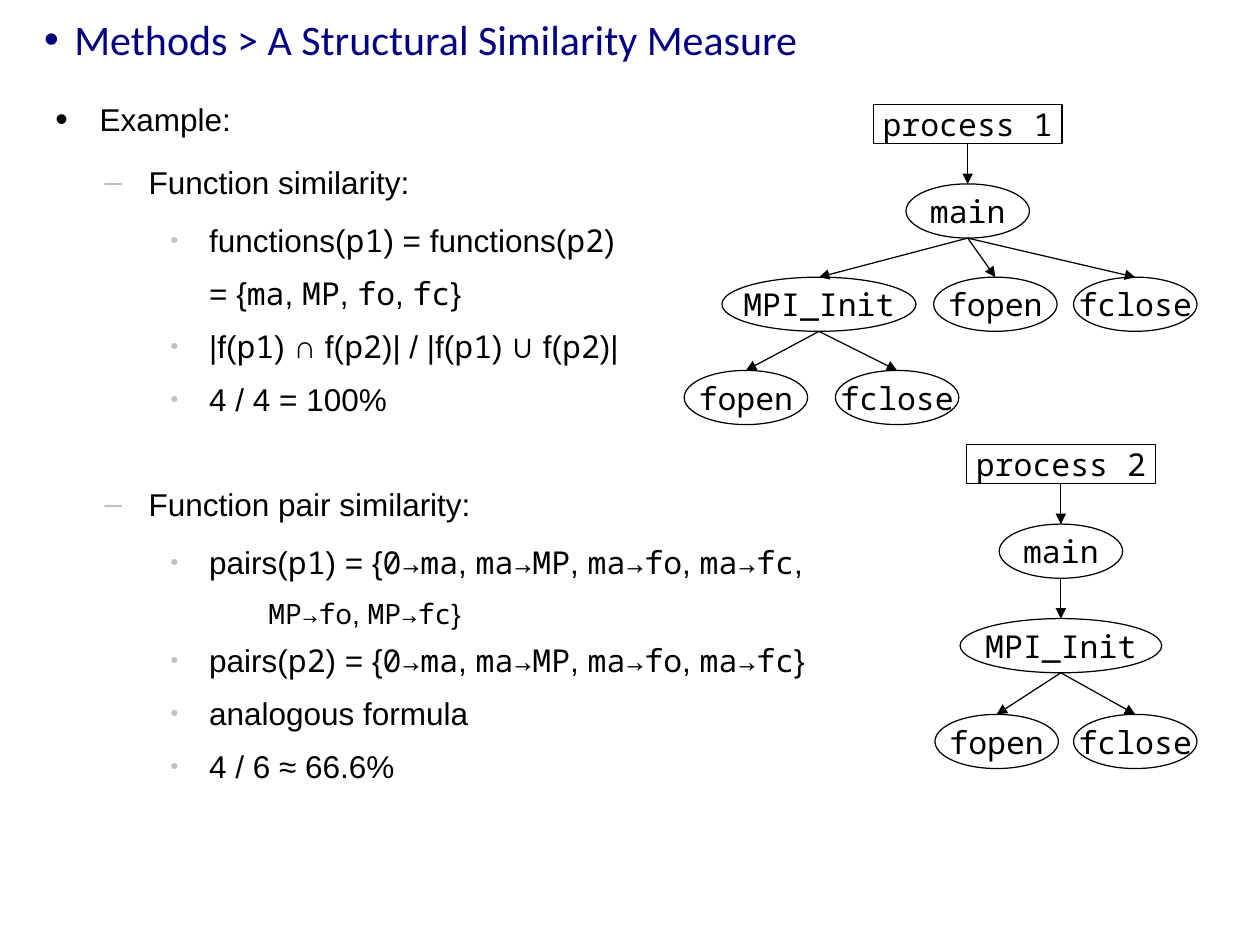
from pptx import Presentation
from pptx.dml.color import RGBColor
from pptx.enum.shapes import MSO_CONNECTOR, MSO_SHAPE
from pptx.enum.text import MSO_ANCHOR, PP_ALIGN
from pptx.oxml.ns import qn
from pptx.util import Inches, Pt
from lxml import etree

RECTANGLE, ELLIPSE = MSO_SHAPE.RECTANGLE, MSO_SHAPE.OVAL
STRAIGHT = MSO_CONNECTOR.STRAIGHT
MIDDLE, TOP = MSO_ANCHOR.MIDDLE, MSO_ANCHOR.TOP
LEFT, CENTER = PP_ALIGN.LEFT, PP_ALIGN.CENTER

COLORS = {"title": "000080", "ink": "000000", "pale": "C0C0C0"}
SANS, MONO = "Arial", "Noto Sans Mono"


def set_bullet(para, margin, indent, char=None, color=None, size=None):
    """Set the hanging indent and the bullet of a paragraph."""
    props = para._p.get_or_add_pPr()
    props.set("marL", str(Inches(margin)))
    props.set("indent", str(Inches(indent)))
    if char is None:
        etree.SubElement(props, qn("a:buNone"))
        return
    if color:
        holder = etree.SubElement(props, qn("a:buClr"))
        etree.SubElement(holder, qn("a:srgbClr"), val=color)
    if size:
        etree.SubElement(props, qn("a:buSzPct"), val=str(size * 1000))
    etree.SubElement(props, qn("a:buFont"), typeface=SANS)
    etree.SubElement(props, qn("a:buChar"), char=char)


def style_font(font, name, size, color):
    font.name, font.size = name, Pt(size)
    font.color.rgb = RGBColor.from_string(color)


deck = Presentation()
deck.slide_width, deck.slide_height = Inches(10), Inches(7.5)
page = deck.slides.add_slide(deck.slide_layouts[5])

# Title
title = page.shapes.title
title.left, title.top = Inches(0.35), Inches(0.08)
title.width, title.height = Inches(9.33), Inches(0.46)
frame = title.text_frame
frame.text = "Methods > A Structural Similarity Measure"
frame.margin_left = frame.margin_right = frame.margin_top = frame.margin_bottom = 0
frame.vertical_anchor = MIDDLE
para = frame.paragraphs[0]
para.alignment = LEFT
set_bullet(para, 0.24, -0.24, "•")
style_font(para.runs[0].font, "Calibri", 24, COLORS["title"])

# Outline: backticks enclose code
STYLES = {  # margin, indent, bullet, bullet colour, bullet %, level, space after, size, line height
    "top": (0.59, -0.35, "•", None, 114, 0, 14.2, 18, 21.8),
    "dash": (0.98, -0.35, "–", COLORS["pale"], None, 1, 11.3, 18, 21.8),
    "dot": (1.46, -0.31, "●", COLORS["pale"], 45, 2, 8.5, 18, 21.8),
    "more": (1.46, 0, None, None, None, 2, 8.5, 18, 21.8),
    "deep": (1.93, 0, None, None, None, 3, 5.7, 16, 20),
}
SECTION_GAP = 38
outline = [
    ("top", "Example:"),
    ("dash", "Function similarity:"),
    ("dot", "functions(`p1`) = functions(`p2`)"),
    ("more", "= {`ma`, `MP`, `fo`, `fc`}"),
    ("dot", "|f(`p1`) ∩ f(`p2`)| / |f(`p1`) ∪ f(`p2`)|"),
    ("dot", "4 / 4 = 100%"),
    ("dash", "Function pair similarity:"),
    ("dot", "pairs(`p1`) = {`0→ma`, `ma→MP`, `ma→fo`, `ma→fc`,"),
    ("deep", "`MP→fo`, `MP→fc`}"),
    ("dot", "pairs(`p2`) = {`0→ma`, `ma→MP`, `ma→fo`, `ma→fc`}"),
    ("dot", "analogous formula"),
    ("dot", "4 / 6 ≈ 66.6%"),
]
body = page.shapes.add_textbox(Inches(0.2), Inches(0.79), Inches(9.25), Inches(5.92))
frame = body.text_frame
frame.word_wrap = True
frame.vertical_anchor = TOP
frame.margin_left = frame.margin_right = frame.margin_top = frame.margin_bottom = 0
for index, (style, text) in enumerate(outline):
    para = frame.add_paragraph() if index else frame.paragraphs[0]
    *bullet, level, after, size, line_height = STYLES[style]
    margin, indent, char, color, percent = bullet
    closes_section = index + 1 < len(outline) and style == "dot" and outline[index + 1][0] == "dash"
    para.level = level
    para.line_spacing = Pt(line_height)
    para.space_before = Pt(0)
    para.space_after = Pt(SECTION_GAP if closes_section else after)
    set_bullet(para, margin, indent, char, color, percent)
    for part, words in enumerate(text.split("`")):
        if words:
            span = para.add_run()
            span.text = words
            style_font(span.font, MONO if part % 2 else SANS, size, COLORS["ink"])

# Call trees: label, centre x, top, width, index of the caller
NODE_HEIGHT, ROOT_HEIGHT = 0.43, 0.31
trees = [
    [
        ("process 2", 8.42, 3.53, 1.5, None),
        ("main", 8.42, 4.16, 0.98, 0),
        ("MPI_Init", 8.42, 4.91, 1.6, 1),
        ("fopen", 7.91, 5.67, 0.98, 2),
        ("fclose", 9.01, 5.67, 0.98, 2),
    ],
    [
        ("process 1", 7.68, 0.83, 1.5, None),
        ("main", 7.68, 1.46, 0.98, 0),
        ("MPI_Init", 6.5, 2.2, 1.54, 1),
        ("fopen", 7.9, 2.2, 0.98, 1),
        ("fclose", 9.01, 2.2, 0.98, 1),
        ("fopen", 5.92, 2.94, 0.98, 2),
        ("fclose", 7.12, 2.94, 0.98, 2),
    ],
]
for tree in trees:
    group = page.shapes.add_group_shape()
    nodes = []
    for label, center, top, width, caller in tree:
        is_root = caller is None
        node = group.shapes.add_shape(
            RECTANGLE if is_root else ELLIPSE,
            Inches(center - width / 2), Inches(top),
            Inches(width), Inches(ROOT_HEIGHT if is_root else NODE_HEIGHT))
        node.shadow.inherit = False
        node.fill.background()
        node.line.color.rgb = RGBColor.from_string(COLORS["ink"])
        node.line.width = Pt(0.71)
        frame = node.text_frame
        frame.text = label
        frame.word_wrap = False
        frame.vertical_anchor = MIDDLE
        para = frame.paragraphs[0]
        para.alignment = CENTER
        style_font(para.runs[0].font, MONO, 18, COLORS["ink"])
        nodes.append(node)

        # Arrow from the caller's bottom to this node's top
        if not is_root:
            source = nodes[caller]
            arrow = group.shapes.add_connector(
                STRAIGHT, source.left + source.width // 2, source.top + source.height,
                Inches(center), Inches(top))
            if caller == 0:
                arrow.begin_connect(source, 2)
            arrow.end_connect(node, 0)
            arrow.line.color.rgb = RGBColor.from_string(COLORS["ink"])
            arrow.line.width = Pt(0.71)
            etree.SubElement(arrow.line._get_or_add_ln(), qn("a:tailEnd"), type="triangle")
            etree.SubElement(arrow._element.spPr, qn("a:effectLst"))

deck.save("out.pptx")
